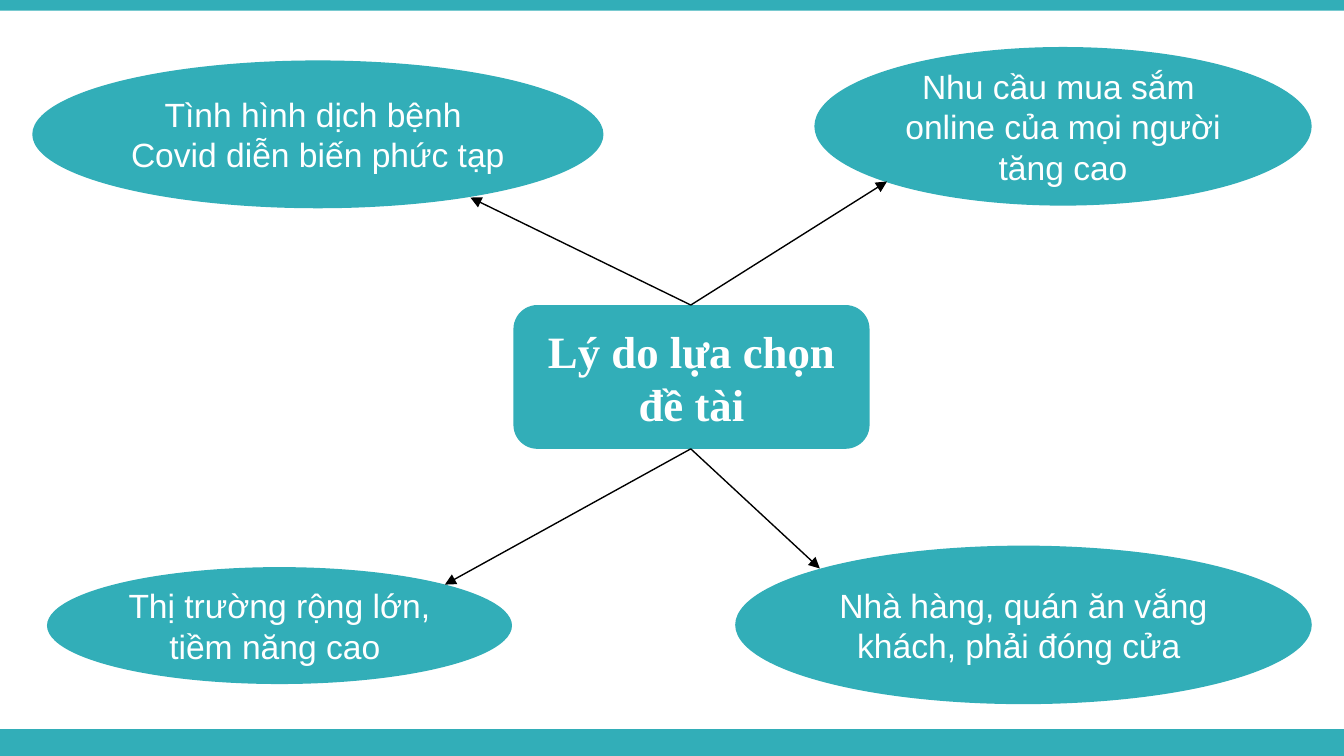
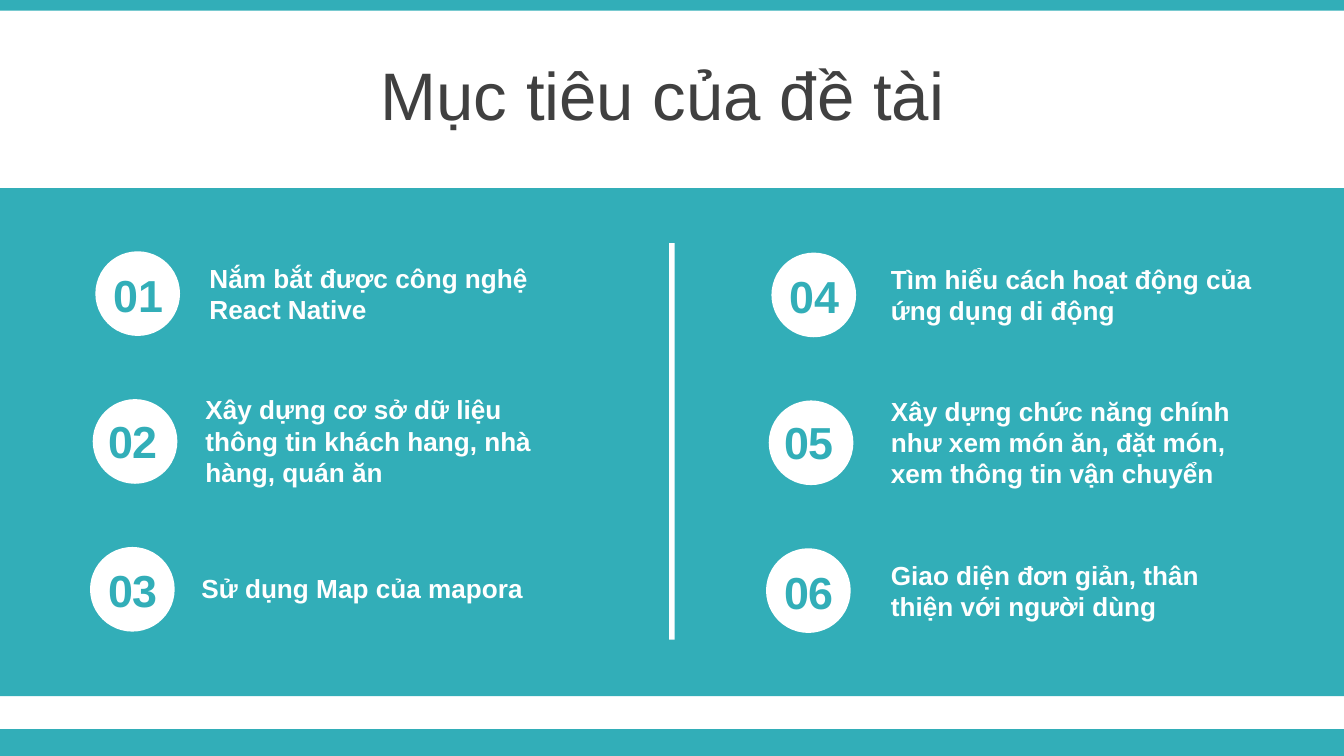
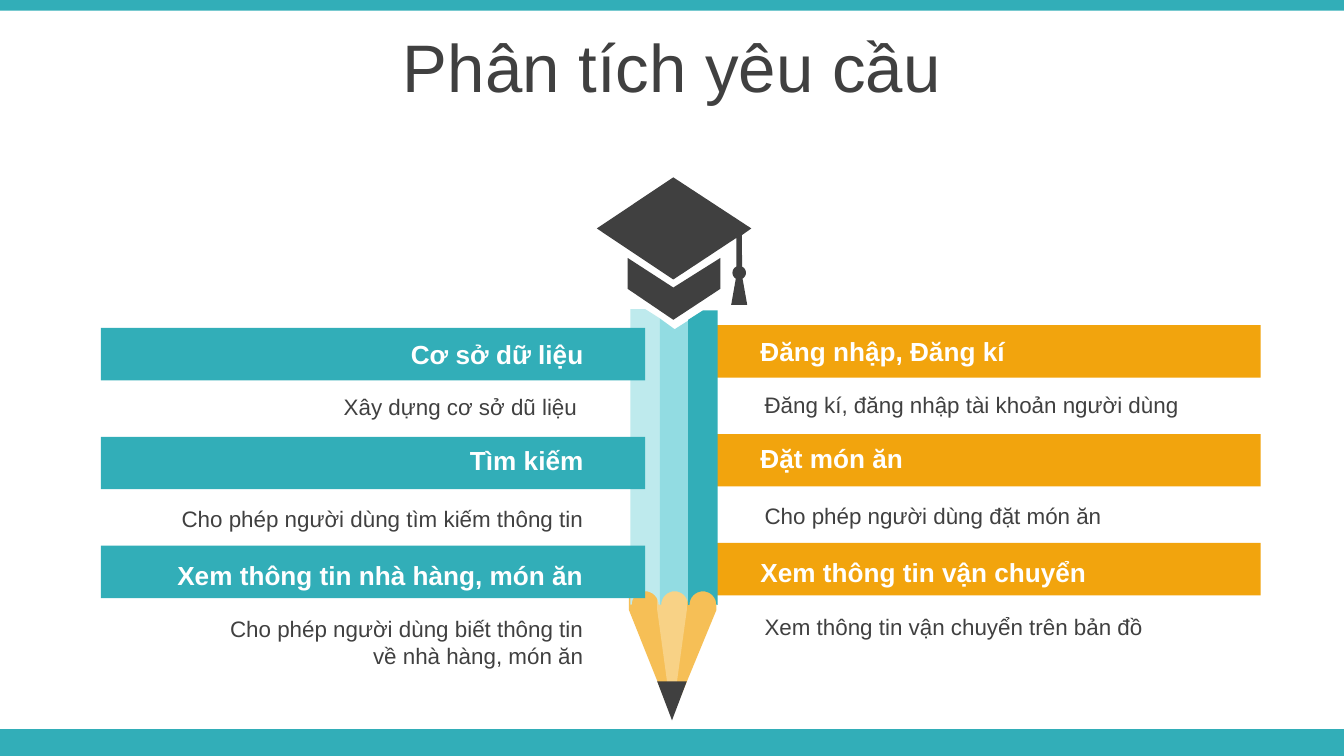
from dataclasses import dataclass
from math import cos, radians, sin

from lxml import etree
from pptx import Presentation
from pptx.dml.color import RGBColor
from pptx.enum.shapes import MSO_CONNECTOR, MSO_SHAPE
from pptx.enum.text import MSO_ANCHOR, MSO_AUTO_SIZE, PP_ALIGN
from pptx.oxml.ns import qn
from pptx.util import Emu, Pt

RECT, ROUND = MSO_SHAPE.RECTANGLE, MSO_SHAPE.ROUNDED_RECTANGLE
OVAL, TRIANGLE = MSO_SHAPE.OVAL, MSO_SHAPE.ISOSCELES_TRIANGLE
LEFT, CENTER, RIGHT = PP_ALIGN.LEFT, PP_ALIGN.CENTER, PP_ALIGN.RIGHT
TOP, MIDDLE = MSO_ANCHOR.TOP, MSO_ANCHOR.MIDDLE
STRAIGHT = MSO_CONNECTOR.STRAIGHT
FIT, FIXED = MSO_AUTO_SIZE.SHAPE_TO_FIT_TEXT, MSO_AUTO_SIZE.NONE
TITLE_ONLY, BLANK = 5, 6

PX = 9144  # EMU per px, 100 px to the inch
W = 1000
H = W * 9 / 16


@dataclass(frozen=True)
class Theme:
    teal: str = "32AEB8"
    teal_mid: str = "92DCE2"
    teal_pale: str = "BEEAED"
    orange: str = "F2A40D"
    wood: str = "F6BF56"
    wood_light: str = "F8D286"
    dark: str = "404040"
    white: str = "FFFFFF"
    black: str = "000000"
    font: str = "Arial"
    serif: str = "Times New Roman"
    title: int = 36
    big: int = 24
    bubble: int = 18
    label: int = 14
    small: int = 12


T = Theme()


# ---- Helpers ----
def px(*values):
    return [Emu(round(v * PX)) for v in values]


def write(tf, text, size=T.label, color=T.white, bold=False, font=T.font,
          align=LEFT, anchor=TOP):
    """Fill a text frame, one paragraph for each line of text."""
    tf.word_wrap = True
    tf.vertical_anchor = anchor
    for i, line in enumerate(text.split("\n")):
        p = tf.add_paragraph() if i else tf.paragraphs[0]
        p.alignment = align
        r = p.add_run()
        r.text = line
        r.font.size, r.font.bold, r.font.name = Pt(size), bold, font
        r.font.color.rgb = RGBColor.from_string(color)


def paint(sp, fill):
    sp.shadow.inherit = False
    sp.fill.solid()
    sp.fill.fore_color.rgb = RGBColor.from_string(fill)
    sp.line.fill.background()
    return sp


def shape(s, kind, x, y, w, h, fill):
    return paint(s.shapes.add_shape(kind, *px(x, y, w, h)), fill)


def textbox(s, x, y, w, h, text, **fmt):
    tf = s.shapes.add_textbox(*px(x, y, w, h)).text_frame
    write(tf, text, **fmt)
    tf.auto_size = FIT


def freeform(s, x, y, fill, *contours):
    """Draw closed contours whose points are relative to (x, y)."""
    outlines = [[px(x + a, y + b) for a, b in pts] for pts in contours]
    fb = s.shapes.build_freeform(*outlines[0][0])
    for i, pts in enumerate(outlines):
        if i:
            fb.move_to(*pts[0])
        fb.add_line_segments(pts[1:], close=True)
    return paint(fb.convert_to_shape(), fill)


def arc(cx, cy, r, start, end, steps=16):
    angles = [radians(start + (end - start) * i / steps)
              for i in range(steps + 1)]
    return [(cx + r * cos(a), cy + r * sin(a)) for a in angles]


def arrow(s, start, end):
    cn = s.shapes.add_connector(STRAIGHT, *px(*start, *end))
    cn.line.color.rgb = RGBColor.from_string(T.black)
    cn.line.width = Pt(0.75)
    etree.SubElement(cn.line._get_or_add_ln(), qn("a:tailEnd"), type="triangle")
    etree.SubElement(cn._element.spPr, qn("a:effectLst"))


def title(s, y, text):
    sp = s.shapes.title
    sp.left, sp.top, sp.width, sp.height = px(0, y, W, 63)
    write(sp.text_frame, text, size=T.title, color=T.dark,
          align=CENTER, anchor=MIDDLE)
    sp.text_frame.auto_size = FIXED


def master_bands(prs, s):
    """Draw the top and bottom bands, then move them behind the master."""
    tree = prs.slide_master.shapes._spTree
    for i, (y, h) in enumerate(((H - 20, 20), (0, 8))):
        el = shape(s, RECT, 0, y, W, h, T.teal)._element
        el.nvSpPr.cNvPr.set("id", str(101 + i))
        tree.insert(2 + i, el)


# ---- Slide 1: reasons around a centre ----
REASONS = (  # box, arrow end, text
    ((24, 45, 425, 110), (350, 147),
     "Tình hình dịch bệnh \nCovid diễn biến phức tạp"),
    ((606, 35, 370, 118), (660, 135),
     "Nhu cầu mua sắm \nonline của mọi người tăng cao"),
    ((35, 422, 346, 87), (331, 435), "Thị trường rộng lớn, tiềm năng cao "),
    ((547, 406, 429, 118), (610, 423),
     "Nhà hàng, quán ăn vắng khách, phải đóng cửa "),
)


def reasons_slide(s, x, y, w, h):
    hub = shape(s, ROUND, x, y, w, h, T.teal)
    write(hub.text_frame, "Lý do lựa chọn đề tài", size=T.big, bold=True,
          font=T.serif, align=CENTER, anchor=MIDDLE)
    for box, end, text in REASONS:
        sp = shape(s, OVAL, *box, T.teal)
        write(sp.text_frame, text, size=T.bubble, align=CENTER, anchor=MIDDLE)
    for _, end, _ in REASONS:
        arrow(s, (x + w // 2, y if end[1] < y else y + h), end)


# ---- Slide 2: numbered goals ----
LABEL_H = {1: 34, 2: 57, 3: 81}  # height by number of lines
NUMBER_AT = ((1, 7), (-3, 116), (-3, 227))
GOALS_LEFT = (
    ("Nắm bắt được công nghệ React Native", 2),
    ("Xây dựng cơ sở dữ liệu thông tin khách hang, nhà hàng, quán ăn", 3),
    ("Sử dụng Map của mapora", 1),
)
GOALS_RIGHT = (
    ("Tìm hiểu cách hoạt động của ứng dụng di động", 2),
    ("Xây dựng chức năng chính như xem món ăn, đặt món, "
     "xem thông tin vận chuyển", 3),
    ("Giao diện đơn giản, thân thiện với người dùng", 2),
)


def goal_column(s, x, y, goals, first, label_x, label_step):
    size, pitch = 63, 110
    for i, ((text, lines), (nx, ny)) in enumerate(zip(goals, NUMBER_AT)):
        cy = y + pitch * i
        shape(s, OVAL, x + 4 - 2 * i, cy, size, size, T.white)
        textbox(s, x + nx, y + ny, 70, 50, f"{first + i:02d}", size=T.big,
                color=T.teal, bold=True, align=CENTER)
        h = LABEL_H[lines]
        textbox(s, x + label_x + label_step * i, cy + (size - h) // 2,
                291, h, text, bold=True)


def goals_slide(s, y):
    title(s, 38, "Mục tiêu của đề tài ")
    shape(s, RECT, 0, y, W, 378, T.teal)
    goal_column(s, 67, y + 47, GOALS_LEFT, 1, 79, -3)
    goal_column(s, 570, y + 48, GOALS_RIGHT, 4, 83, 0)
    shape(s, RECT, 498, y + 41, 4, 295, T.white)


# ---- Slide 3: requirements beside a pencil ----
HEADS = ((3, 259), (1, 259), (5, 358))  # offset in the row, width
DETAIL_DY = (44, 46, 47)
NEEDS_LEFT = (  # heading, detail, detail width and height
    ("Cơ sở dữ liệu", "Xây dựng cơ sở dũ liệu ", 358, 30),
    ("Tìm kiếm", "Cho phép người dùng tìm kiếm thông tin", 358, 30),
    ("Xem thông tin nhà hàng, món ăn",
     "Cho phép người dùng biết thông tin về nhà hàng, món ăn", 291, 50),
)
NEEDS_RIGHT = (
    ("Đăng nhập, Đăng kí", "Đăng kí, đăng nhập tài khoản người dùng", 358, 30),
    ("Đặt món ăn", "Cho phép người dùng đặt món ăn", 358, 30),
    ("Xem thông tin vận chuyển", "Xem thông tin vận chuyển trên bản đồ", 358, 30),
)


def needs_column(s, x, y, needs, fill, align):
    w, pitch = 405, 81

    def left(width, indent):
        return x + 369 - width if align == RIGHT else x + indent

    for i, (head, detail, dw, dh) in enumerate(needs):
        top = y + pitch * i
        dy, hw = HEADS[i]
        shape(s, RECT, x, top, w, 39, fill)
        textbox(s, left(hw, 23), top + dy, hw, 34, head, bold=True, align=align)
        textbox(s, left(dw, 26), top + DETAIL_DY[i], dw, dh, detail,
                size=T.small, color=T.dark, align=align)


def pencil(s, x, y):
    # Wood and its light face
    for l, r, fill in ((24, 89, T.wood), (45, 67, T.wood_light)):
        freeform(s, x, y, fill,
                 [(l, 307), (r, 307), (r, 322), (56, 402), (l, 322)])
    # Painted strips with scalloped ends
    strips = (
        ([(25, 98), (36, 98), (47, 105)], T.teal_pale),
        ([(47, 105), (58, 113), (69, 106)], T.teal_mid),
        ([(68, 106), (79, 99), (90, 99)], T.teal),
    )
    for top, fill in strips:
        l, r = top[0][0], top[-1][0]
        freeform(s, x, y, fill, top + [(r, 318)]
                 + arc((l + r) / 2, 318, 10, 0, -180) + [(l, 318)])
    # Lead
    shape(s, TRIANGLE, x + 45, y + 375, 22, 29, T.dark).rotation = 180
    # Graduation cap with tassel
    band = [(23, 60), (57, 82), (92, 60), (92, 83), (57, 106), (23, 83)]
    board = ([(57, 0), (115, 38), (108, 43)] + arc(106, 71, 5, -65, 60)
             + [(112, 95), (100, 95)] + arc(106, 71, 5, 120, 245)
             + [(104, 45), (57, 76), (0, 38)])
    freeform(s, x, y, T.dark, band, board)


def needs_slide(s):
    title(s, 17, "Phân tích yêu cầu")
    needs_column(s, 533, 242, NEEDS_RIGHT, T.orange, LEFT)
    pencil(s, 444, 132)
    needs_column(s, 75, 244, NEEDS_LEFT, T.teal, RIGHT)


def main():
    prs = Presentation()
    prs.slide_width, prs.slide_height = px(W, H)
    s1, s2, s3 = (prs.slides.add_slide(prs.slide_layouts[n])
                  for n in (BLANK, TITLE_ONLY, TITLE_ONLY))
    master_bands(prs, s1)
    reasons_slide(s1, 382, 227, 265, 107)
    goals_slide(s2, 140)
    needs_slide(s3)
    prs.save("out.pptx")


if __name__ == "__main__":
    main()
